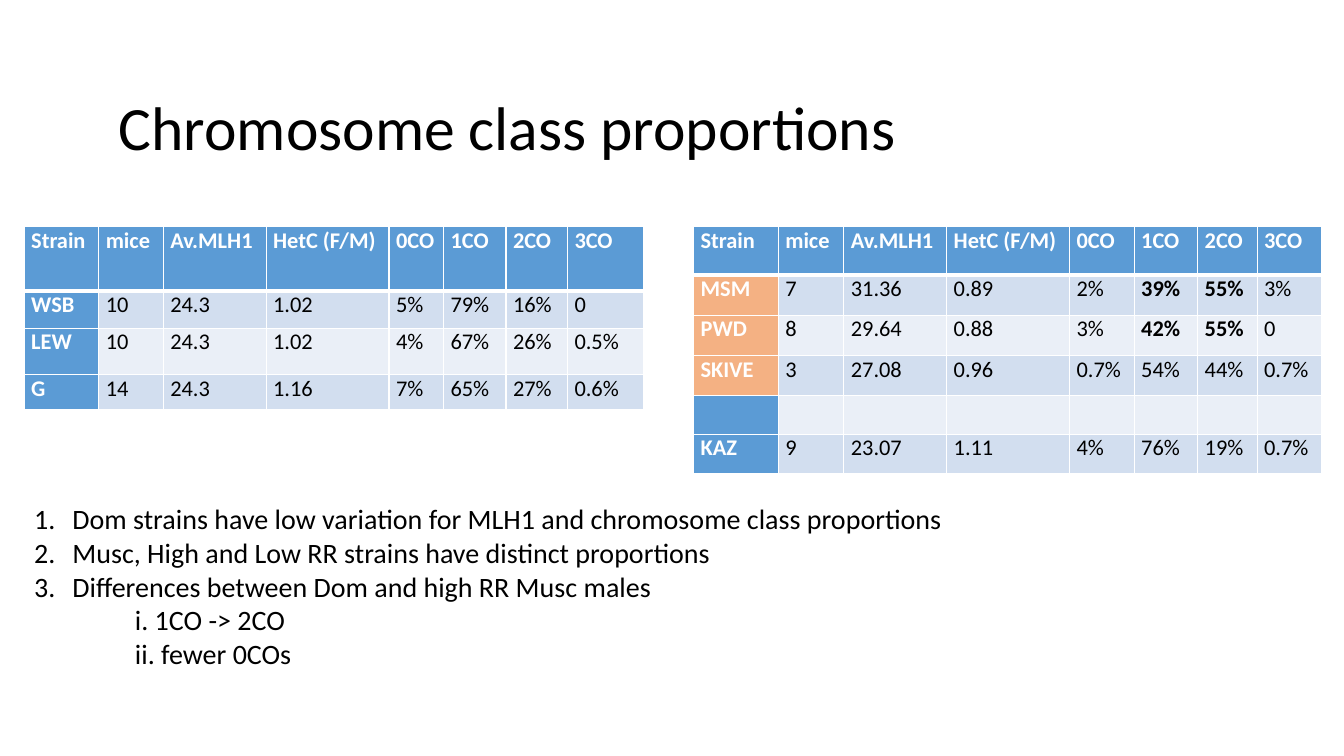
from dataclasses import dataclass

from lxml.etree import SubElement
from pptx import Presentation
from pptx.dml.color import RGBColor
from pptx.enum.text import MSO_ANCHOR
from pptx.oxml.ns import qn
from pptx.slide import Slide
from pptx.table import _Cell
from pptx.text.text import _Paragraph
from pptx.util import Inches, Length, Pt

# The slide is a fine grid with 100 columns and 100 rows to the inch
GRID_COLUMNS, GRID_ROWS = 1333, 750
FONT = "Calibri"
BLACK, WHITE = "000000", "FFFFFF"
BLUE, ORANGE = "5B9BD5", "F4B183"
BANDS = ("D2DEEF", "EAEFF7")
HEADINGS = ("Strain", "mice", "Av.MLH1", "HetC (F/M)", "0CO", "1CO", "2CO", "3CO")


@dataclass(frozen=True)
class Strain:
    values: tuple[str, ...]
    height: int
    label_fill: str = BLUE
    bold_columns: tuple[int, ...] = ()


@dataclass(frozen=True)
class StrainTable:
    left: int
    top: int
    widths: tuple[int, ...]
    heading_height: int
    strains: tuple[Strain, ...]


@dataclass(frozen=True)
class Finding:
    text: str
    numbered: bool = True


DOM_TABLE = StrainTable(24, 225, (74, 64, 102, 122, 54, 62, 61, 76), 64, (
    Strain(("WSB", "10", "24.3", "1.02", "5%", "79%", "16%", "0"), 37),
    Strain(("LEW", "10", "24.3", "1.02", "4%", "67%", "26%", "0.5%"), 46),
    Strain(("G", "14", "24.3", "1.16", "7%", "65%", "27%", "0.6%"), 34),
))
MUSC_TABLE = StrainTable(688, 225, (84, 65, 102, 122, 64, 63, 59, 64), 48, (
    Strain(("MSM", "7", "31.36", "0.89", "2%", "39%", "55%", "3%"), 40, ORANGE, (5, 6)),
    Strain(("PWD", "8", "29.64", "0.88", "3%", "42%", "55%", "0"), 40, ORANGE, (5, 6)),
    Strain(("SKIVE", "3", "27.08", "0.96", "0.7%", "54%", "44%", "0.7%"), 39, ORANGE),
    Strain(("",) * len(HEADINGS), 39),
    Strain(("KAZ", "9", "23.07", "1.11", "4%", "76%", "19%", "0.7%"), 39),
))
FINDINGS = (
    Finding("Dom strains have low variation for MLH1 and chromosome class proportions"),
    Finding("Musc, High and Low RR strains have distinct proportions"),
    Finding("Differences between Dom and high RR Musc males"),
    Finding("i. 1CO -> 2CO", numbered=False),
    Finding("ii. fewer 0COs", numbered=False),
)


def grid(steps: int) -> Length:
    return Inches(steps / 100)


def color(value: str) -> RGBColor:
    return RGBColor.from_string(value)


def format_spans(para: _Paragraph, size: int, ink: str = BLACK, bold: bool = False) -> None:
    for span in para.runs:
        span.font.name = FONT
        span.font.size = Pt(size)
        span.font.bold = bold
        span.font.color.rgb = color(ink)


def set_borders(cell: _Cell, bottom_width: int) -> None:
    properties = cell._tc.get_or_add_tcPr()
    for side, width in (("L", 1), ("R", 1), ("T", 1), ("B", bottom_width)):
        line = SubElement(properties, qn(f"a:ln{side}"), w=str(Pt(width)))
        fill = SubElement(line, qn("a:solidFill"))
        SubElement(fill, qn("a:srgbClr"), val=WHITE)


def fill_cell(cell: _Cell, text: str, fill: str, ink: str, bold: bool, bottom_width: int = 1) -> None:
    set_borders(cell, bottom_width)
    cell.fill.solid()
    cell.fill.fore_color.rgb = color(fill)
    cell.margin_left = cell.margin_right = grid(7)
    cell.margin_top = cell.margin_bottom = 0
    if text:
        cell.text_frame.text = text
        format_spans(cell.text_frame.paragraphs[0], 16, ink, bold)


def draw_table(page: Slide, layout: StrainTable) -> None:
    heights = (layout.heading_height, *(strain.height for strain in layout.strains))
    table = page.shapes.add_table(
        len(heights), len(HEADINGS), grid(layout.left), grid(layout.top),
        grid(sum(layout.widths)), grid(sum(heights))).table
    table.first_col = True
    for column, width in zip(table.columns, layout.widths):
        column.width = grid(width)
    for row, height in zip(table.rows, heights):
        row.height = grid(height)

    # Heading row
    for cell, heading in zip(table.rows[0].cells, HEADINGS):
        fill_cell(cell, heading, BLUE, WHITE, True, bottom_width=3)

    # One banded row for each strain, led by its label
    for index, strain in enumerate(layout.strains):
        for number, value in enumerate(strain.values):
            cell = table.cell(index + 1, number)
            if number == 0:
                fill_cell(cell, value, strain.label_fill, WHITE, True)
            else:
                fill_cell(cell, value, BANDS[index % 2], BLACK, number in strain.bold_columns)


def draw_title(page: Slide, text: str) -> None:
    box = page.shapes.add_textbox(grid(108), grid(57), grid(1150), grid(145))
    frame = box.text_frame
    frame.word_wrap = True
    frame.vertical_anchor = MSO_ANCHOR.MIDDLE
    frame.text = text
    frame.paragraphs[0].line_spacing = 0.9
    format_spans(frame.paragraphs[0], 44)


def draw_findings(page: Slide, findings: tuple[Finding, ...]) -> None:
    box = page.shapes.add_textbox(grid(24), grid(493), grid(1103), grid(178))
    frame = box.text_frame
    frame.word_wrap = True
    frame.text = "\n".join(finding.text for finding in findings)
    for para, finding in zip(frame.paragraphs, findings):
        format_spans(para, 20)
        properties = para._p.get_or_add_pPr()
        if finding.numbered:
            properties.set("marL", str(grid(38)))
            properties.set("indent", str(-grid(38)))
            SubElement(properties, qn("a:buFont"), typeface="+mj-lt")
            SubElement(properties, qn("a:buAutoNum"), type="arabicPeriod")
        else:
            properties.set("marL", str(grid(100)))


def main() -> None:
    deck = Presentation()
    deck.slide_width, deck.slide_height = grid(GRID_COLUMNS), grid(GRID_ROWS)
    page = deck.slides.add_slide(deck.slide_layouts[6])
    for layout in (DOM_TABLE, MUSC_TABLE):
        draw_table(page, layout)
    draw_title(page, "Chromosome class proportions")
    draw_findings(page, FINDINGS)
    deck.save("out.pptx")


if __name__ == "__main__":
    main()
